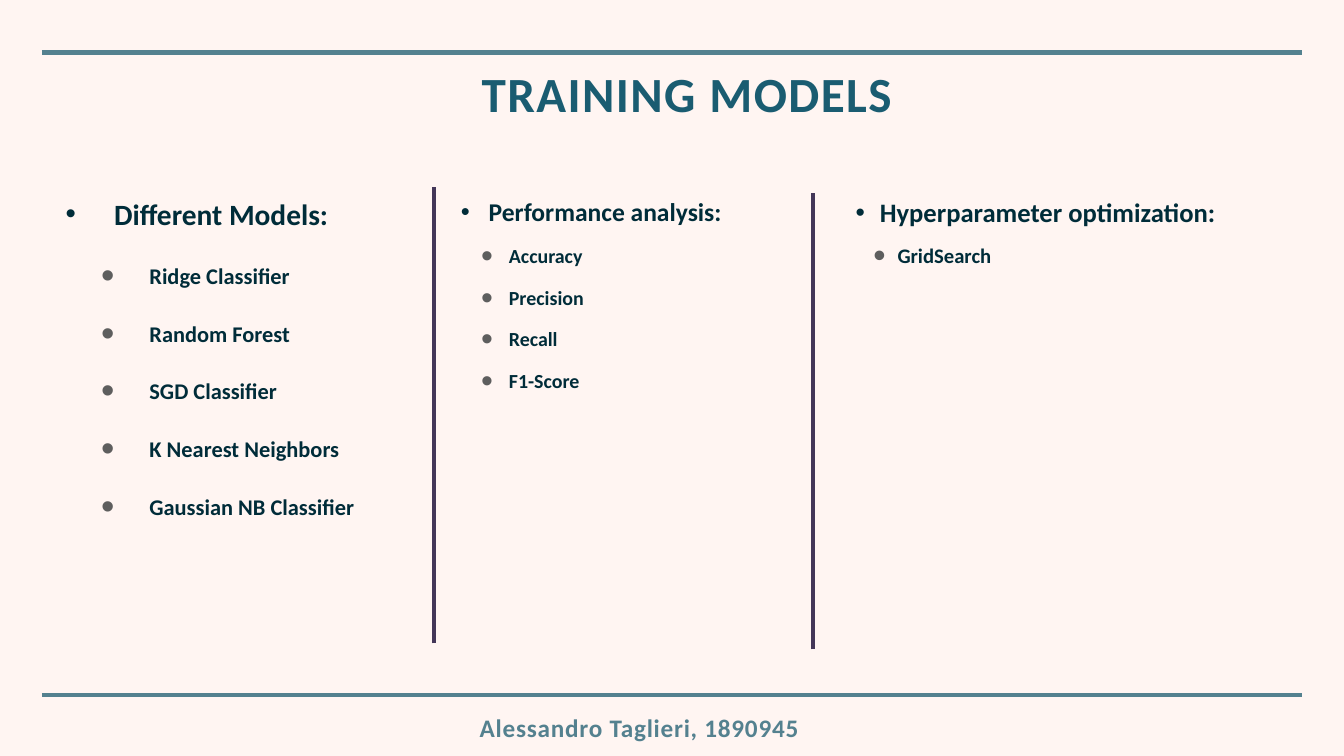
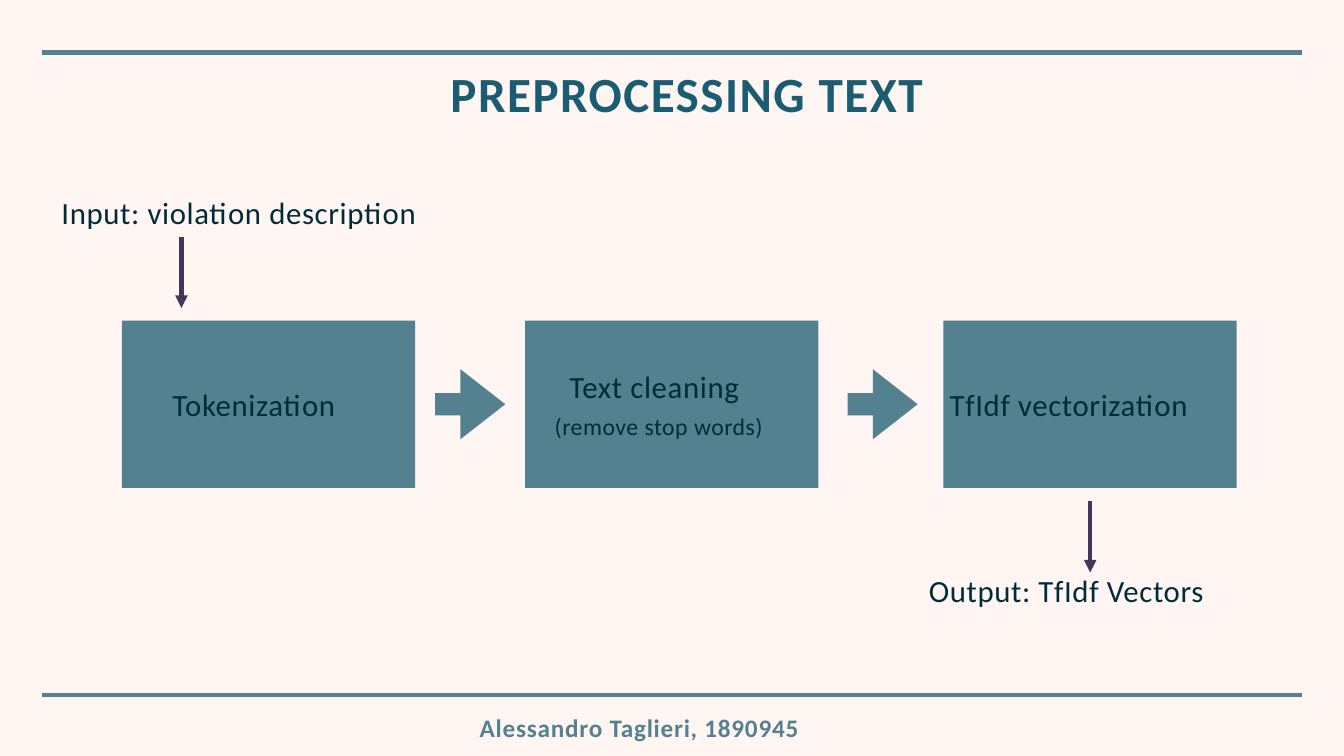
from dataclasses import dataclass

from lxml import etree
from pptx import Presentation
from pptx.dml.color import RGBColor
from pptx.enum import shapes, text
from pptx.oxml import ns
from pptx.util import Pt

COLOURS = {
    "background": "FFF5F2",
    "teal": "54818F",
    "title": "1A5C71",
    "ink": "002C39",
    "plum": "443658",
    "bullet": "5E5E5E",
}
FONT = "Calibri"
AUTHOR = "Alessandro Taglieri, 1890945"
INSET = 4.32
TITLE_ONLY = 5
ITEM_INDENT_RATIO = 1.73


@dataclass
class Box:
    left: float
    top: float
    width: float
    height: float

    def points(self):
        return [Pt(v) for v in (self.left, self.top, self.width, self.height)]

    def centred(self, width, height):
        return Box(self.left + (self.width - width) / 2,
                   self.top + (self.height - height) / 2, width, height)


def colour(name):
    return RGBColor.from_string(COLOURS[name])


def add_xml(parent, tag, **attributes):
    return etree.SubElement(parent, ns.qn(tag), attributes)


def add_line(page, start, end, name, arrow=False):
    line = page.shapes.add_connector(
        shapes.MSO_CONNECTOR.STRAIGHT, *[Pt(v) for v in (*start, *end)])
    line.line.color.rgb = colour(name)
    line.line.width = Pt(6)
    if arrow:
        add_xml(line.line._get_or_add_ln(), "a:tailEnd", type="triangle")
    add_xml(line.element.spPr, "a:effectLst")
    return line


def add_block(page, box, name, kind=shapes.MSO_SHAPE.RECTANGLE):
    block = page.shapes.add_shape(kind, *box.points())
    block.shadow.inherit = False
    block.fill.solid()
    block.fill.fore_color.rgb = colour(name)
    block.line.fill.background()
    return block


def prepare_frame(shape, anchor=text.MSO_ANCHOR.TOP):
    frame = shape.text_frame
    frame.margin_left = frame.margin_right = Pt(INSET)
    frame.margin_top = frame.margin_bottom = Pt(INSET)
    frame.vertical_anchor = anchor
    frame.word_wrap = True
    frame.auto_size = text.MSO_AUTO_SIZE.NONE
    return frame


def write(para, words, size, name="ink", bold=False, spacing=0):
    span = para.add_run()
    span.text = words
    span.font.name = FONT
    span.font.size = Pt(size)
    span.font.bold = bold
    span.font.color.rgb = colour(name)
    if spacing:
        span.font._element.set("spc", str(round(spacing * 100)))


def add_label(page, box, lines, line_spacing=1.0, first_indent=0):
    label = page.shapes.add_textbox(*box.points())
    frame = prepare_frame(label, text.MSO_ANCHOR.MIDDLE)
    for index, spans in enumerate(lines):
        para = frame.add_paragraph() if index else frame.paragraphs[0]
        para.alignment = text.PP_ALIGN.LEFT
        para.line_spacing = line_spacing
        if first_indent and not index:
            para._p.get_or_add_pPr().set("marL", str(Pt(first_indent)))
        for words, style in spans:
            write(para, words, **style)


def add_bullet(para, margin, hanging, item):
    properties = para._p.get_or_add_pPr()
    properties.set("marL", str(Pt(margin)))
    properties.set("indent", str(-Pt(hanging)))
    if item:
        add_xml(add_xml(properties, "a:buClr"), "a:srgbClr", val=COLOURS["bullet"])
        add_xml(properties, "a:buSzPct", val="170000")
    add_xml(properties, "a:buFont", typeface="Arial")
    add_xml(properties, "a:buChar", char="•")


def bullet_column(page, box, heading, items, heading_size, item_size, indent, gap):
    frame = prepare_frame(page.shapes.add_textbox(*box.points()))
    for index, words in enumerate([heading, *items]):
        para = frame.add_paragraph() if index else frame.paragraphs[0]
        para.level = min(index, 1)
        para.space_before = Pt(gap)
        margin = indent * ITEM_INDENT_RATIO if index else indent
        add_bullet(para, margin, indent, item=index > 0)
        write(para, words, item_size if index else heading_size, bold=True)


def set_up_master(deck, page):
    master = deck.slide_master
    master.background.fill.solid()
    master.background.fill.fore_color.rgb = colour("background")
    for y in (992.5, 75):
        line = add_line(page, (60, y), (1860, y), "teal")
        master.shapes.element.append(line.element)


def start_page(deck, title):
    page = deck.slides.add_slide(deck.slide_layouts[TITLE_ONLY])
    heading = page.shapes.title
    box = Box(370, 95.8, 1222.6, 101.5)
    heading.left, heading.top, heading.width, heading.height = box.points()
    para = prepare_frame(heading).paragraphs[0]
    para.alignment = text.PP_ALIGN.CENTER
    para.line_spacing = 0.9
    write(para, title, 70.2, "title", bold=True, spacing=2.1)
    style = dict(size=36, name="teal", bold=True, spacing=1.1)
    add_label(page, Box(681, 1006.6, 558, 55.4), [[(AUTHOR, style)]], 1.2)
    return page


def training_page(deck):
    page = start_page(deck, "TRAINING MODELS")
    top = 275.5
    bullet_column(page, Box(89.6, top, 497, 616), "Different Models:",
                  ["Ridge Classifier", "Random Forest", "SGD Classifier",
                   "K Nearest Neighbors", "Gaussian NB Classifier"],
                  heading_size=42, item_size=32, indent=69.1, gap=44)
    bullet_column(page, Box(654.2, top, 450.7, 358.6), "Performance analysis:",
                  ["Accuracy", "Precision", "Recall", "F1-Score"],
                  heading_size=36.5, item_size=28.5, indent=39.6, gap=25)
    bullet_column(page, Box(1218, top, 614.9, 126.7),
                  "Hyperparameter optimization:", ["GridSearch"],
                  heading_size=38, item_size=29.5, indent=34.6, gap=22)
    for x, y in ((620.2, 267.1), (1161.7, 275.8)):
        add_line(page, (x, y + 652), (x, y), "plum")
    return page


def process_row(page, box, steps, arrow_lefts):
    step_width, arrow_size = 419, 100
    for left, label_width, label_height, indent, lines in steps:
        step = Box(box.left + left, box.top, step_width, box.height)
        add_block(page, step, "teal")
        add_label(page, step.centred(label_width, label_height), lines,
                  first_indent=indent)
    for left in arrow_lefts:
        place = Box(box.left + left, box.top + (box.height - arrow_size) / 2,
                    arrow_size, arrow_size)
        arrow = add_block(page, place, "teal", shapes.MSO_SHAPE.RIGHT_ARROW)
        arrow.adjustments[0] = 0.32
        arrow.adjustments[1] = 0.64


def preprocessing_page(deck):
    page = start_page(deck, "PREPROCESSING TEXT")
    large = dict(size=44, spacing=0.9)
    small = dict(size=34, spacing=0.7)
    cleaning = [[("Text cleaning", large)],
                [(" ", large), ("(remove stop words)", small)]]
    steps = [(0, 283.7, 65.5, 0, [[("Tokenization", large)]]),
             (576, 365, 123.8, 32, cleaning),
             (1173.6, 409.7, 65.5, 0, [[("TfIdf vectorization", large)]])]
    process_row(page, Box(174.2, 458, 1592.6, 239), steps, (447.6, 1036.8))
    for box, words, x, y in (
            (Box(83.5, 270, 599.8, 65.5), "Input: violation description", 259.2, 338.4),
            (Box(1322.6, 810.7, 470.2, 65.5), "Output: TfIdf Vectors", 1557.4, 716.4)):
        add_label(page, box, [[(words, large)]])
        add_line(page, (x, y), (x, y + 101.5), "plum", arrow=True)


def main():
    deck = Presentation()
    deck.slide_width, deck.slide_height = Pt(1920), Pt(1080)
    set_up_master(deck, training_page(deck))
    preprocessing_page(deck)
    deck.save("out.pptx")


if __name__ == "__main__":
    main()
